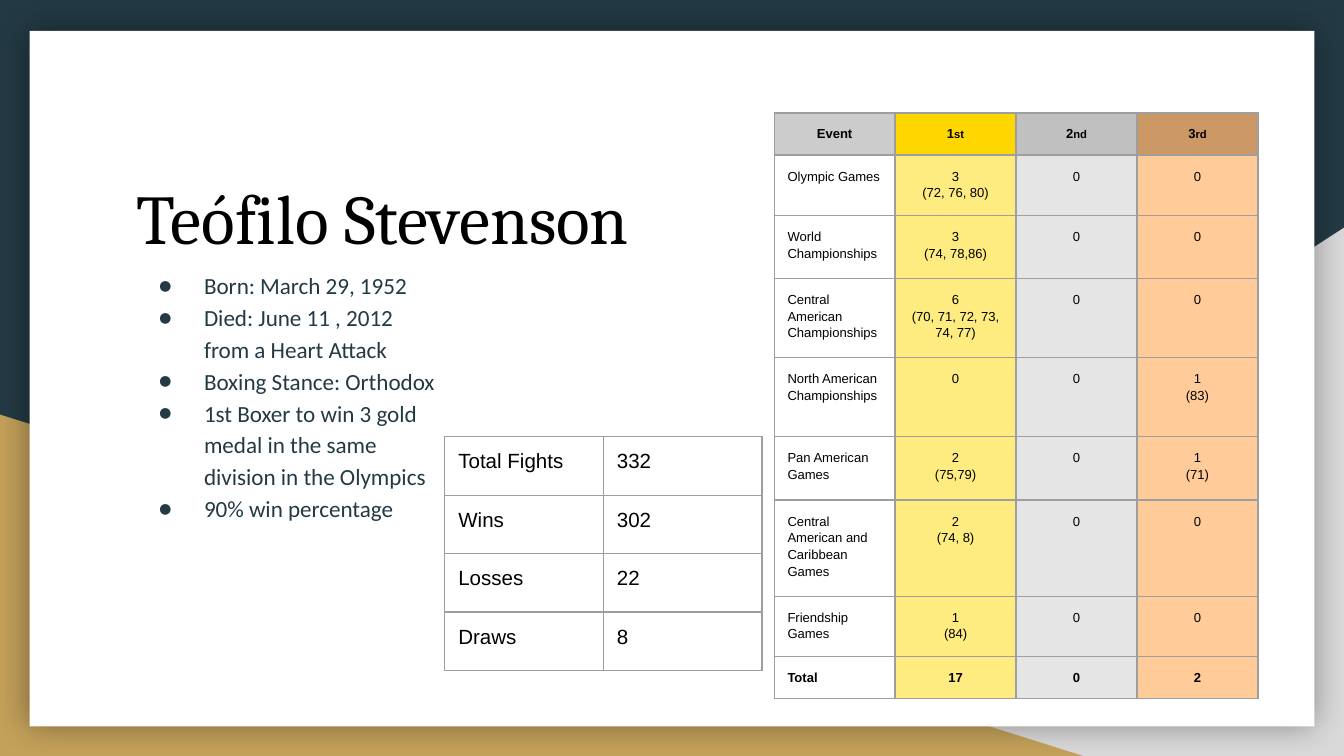
import pptx
import pptx.dml.color
import pptx.enum.shapes
import pptx.enum.text
import pptx.oxml
import pptx.oxml.ns
import pptx.util
from lxml import etree

Inches = pptx.util.Inches
Pt = pptx.util.Pt
RGB = pptx.dml.color.RGBColor
Shape = pptx.enum.shapes.MSO_SHAPE
Align = pptx.enum.text.PP_ALIGN
Anchor = pptx.enum.text.MSO_ANCHOR
qn = pptx.oxml.ns.qn
NS = pptx.oxml.ns.nsdecls("a")

NAVY = RGB(0x23, 0x3A, 0x44)
SAND = RGB(0xC4, 0xA1, 0x5A)
MIST = RGB(0xD9, 0xD9, 0xD9)
WHITE = RGB(0xFF, 0xFF, 0xFF)
BLACK = RGB(0, 0, 0)
RULE = RGB(0x9E, 0x9E, 0x9E)
HEADS = [RGB(0xCC, 0xCC, 0xCC), RGB(0xFF, 0xD7, 0x00),
         RGB(0xC0, 0xC0, 0xC0), RGB(0xCC, 0x99, 0x66)]
TINTS = [None, RGB(0xFE, 0xEC, 0x80), RGB(0xE5, 0xE5, 0xE5), RGB(0xFF, 0xCC, 0x99)]

FACTS = [
    "Born: March 29, 1952",
    "Died: June 11 , 2012 from a Heart Attack",
    "Boxing Stance: Orthodox",
    "1st Boxer to win 3 gold medal in the same division in the Olympics",
    "90% win percentage",
]
FIGHTS = [("Total Fights", "332"), ("Wins", "302"), ("Losses", "22"), ("Draws", "8")]
MEDALS = [
    ("Event", "1st", "2nd", "3rd"),
    ("Olympic Games", "3\n(72, 76, 80)", "0", "0"),
    ("World Championships", "3\n(74, 78,86)", "0", "0"),
    ("Central American Championships", "6\n(70, 71, 72, 73, 74, 77)", "0", "0"),
    ("North American Championships", "0", "0", "1\n(83)"),
    ("Pan American Games", "2\n(75,79)", "0", "1\n(71)"),
    ("Central American and Caribbean Games", "2\n(74, 8)", "0", "0"),
    ("Friendship Games", "1\n(84)", "0", "0"),
    ("Total", "17", "0", "2"),
]
HEIGHTS = [0.28, 0.35, 0.47, 0.59, 0.59, 0.47, 0.71, 0.35, 0.28]


def style(run, size, face, color, bold=False):
    run.font.size = Pt(size)
    run.font.name = face
    run.font.color.rgb = color
    run.font.bold = bold


def inset(item, tall=0.1):
    item.margin_left = item.margin_right = Inches(0.1)
    item.margin_top = item.margin_bottom = Inches(tall)


def add_panel(slide, kind, box, color):
    panel = slide.shapes.add_shape(kind, *map(Inches, box))
    panel.shadow.inherit = False
    panel.fill.solid()
    panel.fill.fore_color.rgb = color
    panel.line.fill.background()
    return panel


def add_back(slide, wide, high):
    slide.background.fill.solid()
    slide.background.fill.fore_color.rgb = NAVY
    mist = add_panel(slide, Shape.RIGHT_TRIANGLE, (wide - 6.08, high - 3.93, 6.08, 3.93), MIST)
    mist._element.spPr.find(qn("a:xfrm")).set("flipH", "1")
    add_panel(slide, Shape.RIGHT_TRIANGLE, (0, high - 2.54, 8.06, 2.54), SAND)
    card = add_panel(slide, Shape.RECTANGLE, (0.22, 0.23, wide - 0.44, high - 0.45), WHITE)
    glow = etree.SubElement(card._element.spPr.find(qn("a:effectLst")), qn("a:outerShdw"),
                            blurRad=str(Pt(18)), dist="0", dir="0", algn="ctr", rotWithShape="0")
    tone = etree.SubElement(glow, qn("a:srgbClr"), val=str(BLACK))
    etree.SubElement(tone, qn("a:alpha"), val="40000")


def add_frame(slide, box, anchor):
    frame = slide.shapes.add_textbox(*map(Inches, box)).text_frame
    frame.word_wrap = True
    frame.vertical_anchor = anchor
    inset(frame)
    return frame


def add_title(slide, box):
    frame = add_frame(slide, box, Anchor.BOTTOM)
    frame.text = "Teófilo Stevenson"
    para = frame.paragraphs[0]
    para.line_spacing = 1.3
    style(para.runs[0], 37.4, "Cambria", BLACK)


def add_facts(slide, box):
    frame = add_frame(slide, box, Anchor.TOP)
    frame.text = "\n".join(FACTS)
    for para in frame.paragraphs:
        para.line_spacing = 1.15
        style(para.runs[0], 12.4, "Calibri", NAVY)
        props = para._p.get_or_add_pPr()
        props.set("marL", str(Inches(0.5)))
        props.set("indent", str(Inches(-0.34)))
        tint = etree.SubElement(props, qn("a:buClr"))
        etree.SubElement(tint, qn("a:srgbClr"), val=str(NAVY))
        etree.SubElement(props, qn("a:buFont"), typeface="Calibri")
        etree.SubElement(props, qn("a:buChar"), char="●")


def add_rules(cell):
    props = cell._tc.get_or_add_tcPr()
    for side in "LRTB":
        props.append(pptx.oxml.parse_xml(
            f'<a:ln{side} {NS} w="{Pt(0.75)}"><a:solidFill>'
            f'<a:srgbClr val="{RULE}"/></a:solidFill></a:ln{side}>'))


def add_grid(slide, box, rows, heights, tall):
    count = len(rows[0])
    grid = slide.shapes.add_table(len(rows), count, *map(Inches, box)).table
    grid.first_row = grid.horz_banding = False
    for col in grid.columns:
        col.width = Inches(box[2] / count)
    for row, high, texts in zip(grid.rows, heights, rows):
        row.height = Inches(high)
        for cell, text in zip(row.cells, texts):
            inset(cell, tall)
            add_rules(cell)
            cell.fill.background()
            cell.text_frame.text = text
    return grid


def add_fights(slide, box):
    count = len(FIGHTS)
    grid = add_grid(slide, box, FIGHTS, [box[3] / count] * count, 0.1)
    for cell in grid.iter_cells():
        style(cell.text_frame.paragraphs[0].runs[0], 11, "Arial", BLACK)


def add_medals(slide, box):
    grid = add_grid(slide, box, MEDALS, HEIGHTS, 0.09)
    last = len(MEDALS) - 1
    for r, row in enumerate(grid.rows):
        for c, cell in enumerate(row.cells):
            color = TINTS[c] if r else HEADS[c]
            if color:
                cell.fill.solid()
                cell.fill.fore_color.rgb = color
            for para in cell.text_frame.paragraphs:
                para.line_spacing = 1.15
                para.alignment = Align.LEFT if r and not c else Align.CENTER
                style(para.runs[0], 7, "Arial", BLACK, r in (0, last))
                if c and not r:
                    para.runs[0].text = MEDALS[0][c][0]
                    tail = para.add_run()
                    tail.text = MEDALS[0][c][1:]
                    style(tail, 6, "Arial", BLACK, True)


def main():
    deck = pptx.Presentation()
    wide = 10
    high = wide * 9 / 16
    deck.slide_width, deck.slide_height = Inches(wide), Inches(high)
    slide = deck.slides.add_slide(deck.slide_layouts[6])
    add_back(slide, wide, high)
    add_title(slide, (0.92, 0.98, 8.21, 1.04))
    add_facts(slide, (0.92, 1.89, 2.47, 2.69))
    add_fights(slide, (3.31, 3.25, 2.36, 1.74))
    add_medals(slide, (5.76, 0.84, 3.6, 4.41))
    deck.save("out.pptx")


if __name__ == "__main__":
    main()
